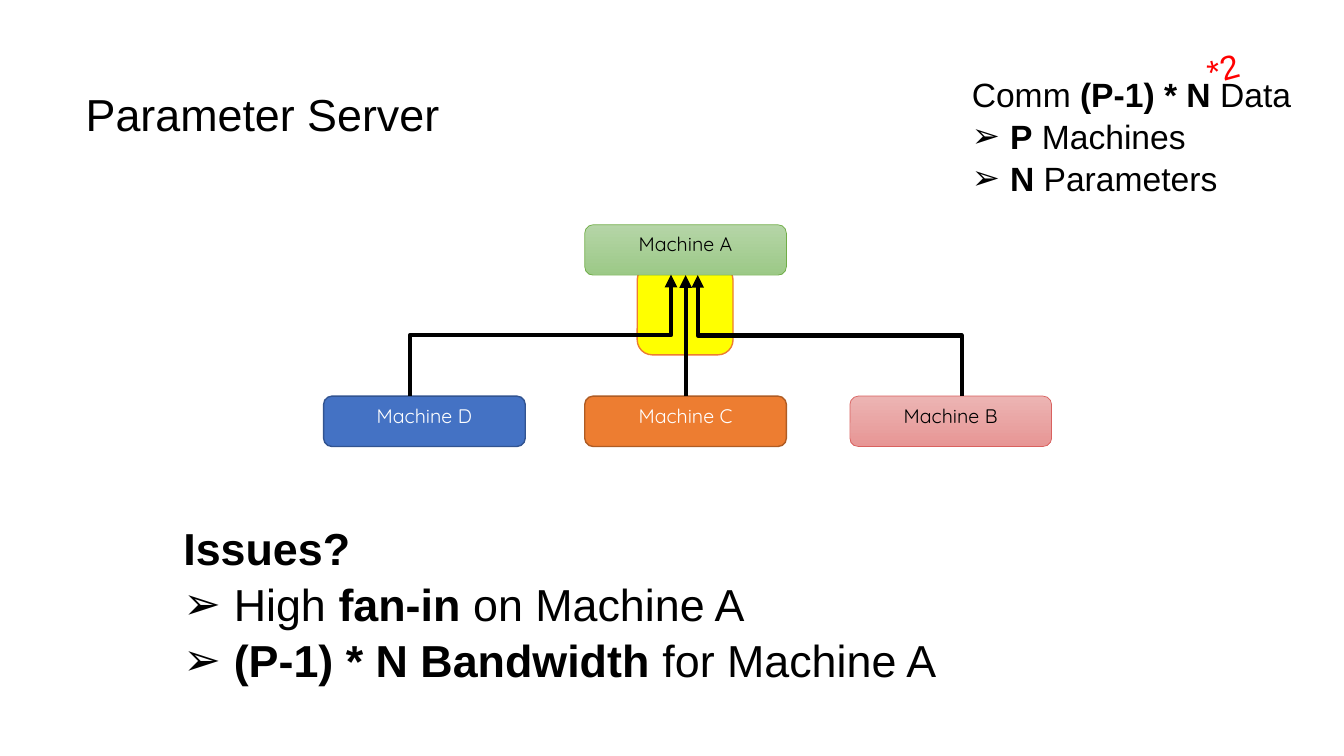
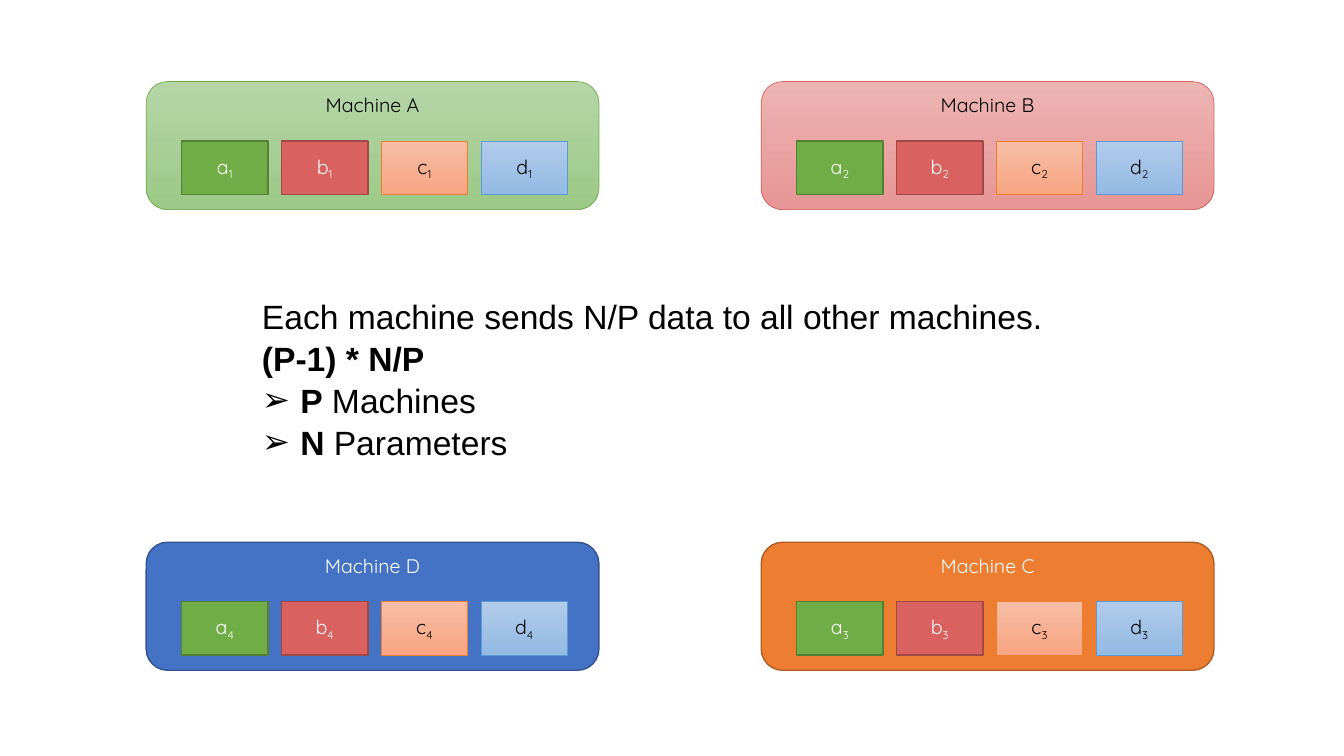
from collections import namedtuple

from lxml import etree
from pptx import Presentation
from pptx.dml.color import RGBColor
from pptx.enum.shapes import MSO_CONNECTOR, MSO_SHAPE
from pptx.enum.text import MSO_ANCHOR, MSO_AUTO_SIZE, PP_ALIGN
from pptx.oxml.ns import qn
from pptx.util import Emu, Pt

PX = 9144
SLIDE_WIDTH, SLIDE_HEIGHT = 1333, 750
TITLE_ONLY, BLANK = 5, 6
ROUNDED, RECTANGLE = MSO_SHAPE.ROUNDED_RECTANGLE, MSO_SHAPE.RECTANGLE
STRAIGHT, ELBOW = MSO_CONNECTOR.STRAIGHT, MSO_CONNECTOR.ELBOW
TOP, MIDDLE = MSO_ANCHOR.TOP, MSO_ANCHOR.MIDDLE
LEFT, CENTER = PP_ALIGN.LEFT, PP_ALIGN.CENTER
NO_AUTOFIT = MSO_AUTO_SIZE.NONE
BODY_FONT, LABEL_FONT = "Arial", "Quicksand"
LINE_SPACING = 1.04

COLORS = {
    "black": "000000", "white": "FFFFFF", "red": "FF0000", "yellow": "FFFF00",
    "green": "70AD47", "green_edge": "538035",
    "green_light": "B5D5A7", "green_soft": "9CC987",
    "rose": "D9615F", "rose_edge": "A14846",
    "rose_light": "ECB4B3", "rose_soft": "E79695",
    "blue": "4472C4", "blue_edge": "325491",
    "orange": "ED7D31", "orange_edge": "AF5C24",
    "peach_light": "F7BDA5", "peach_soft": "F8A582",
    "sky": "5B9BD5", "sky_light": "B1CBE9", "sky_soft": "93B9E4",
}

Style = namedtuple("Style", "fills edge weight ink")
MACHINES = {
    "A": Style(("green_light", "green_soft"), "green", 0.5, "black"),
    "B": Style(("rose_light", "rose_soft"), "rose", 0.5, "black"),
    "C": Style(("orange",), "orange_edge", 1, "white"),
    "D": Style(("blue",), "blue_edge", 1, "white"),
}
TILES = {
    "a": Style(("green",), "green_edge", 1, "white"),
    "b": Style(("rose",), "rose_edge", 1, "white"),
    "c": Style(("peach_light", "peach_soft"), "orange", 0.5, "black"),
    "d": Style(("sky_light", "sky_soft"), "sky", 0.5, "black"),
}
HIGHLIGHT = Style(("yellow",), "orange", 1, "black")

Line = namedtuple("Line", "spans bulleted")
LEGEND = [
    Line([("P", True), (" Machines", False)], True),
    Line([("N", True), (" Parameters", False)], True),
]


def px(*lengths):
    return [Emu(length * PX) for length in lengths]


def color(name):
    return RGBColor.from_string(COLORS[name])


def add_span(para, text, *, size, font=BODY_FONT, ink="black", bold=False, baseline=0):
    span = para.add_run()
    span.text = text
    span.font.size = Pt(size)
    span.font.name = font
    span.font.bold = bold
    span.font.color.rgb = color(ink)
    if baseline:
        span.font._element.set("baseline", str(baseline * 1000))


def add_bullet(para, indent):
    properties = para._p.get_or_add_pPr()
    properties.set("marL", str(indent * PX))
    properties.set("indent", str(-indent * PX))
    bullet_color = etree.SubElement(properties, qn("a:buClr"))
    etree.SubElement(bullet_color, qn("a:srgbClr"), val=COLORS["black"])
    etree.SubElement(properties, qn("a:buFont"), typeface=BODY_FONT)
    etree.SubElement(properties, qn("a:buChar"), char="➢")


def fill_text(box, lines, *, size, indent=0, align=LEFT, ink="black"):
    frame = box.text_frame
    frame.word_wrap = False
    frame.auto_size = NO_AUTOFIT
    frame.vertical_anchor = TOP
    for index, line in enumerate(lines):
        para = frame.add_paragraph() if index else frame.paragraphs[0]
        para.alignment = align
        para.line_spacing = LINE_SPACING
        if line.bulleted:
            add_bullet(para, indent)
        for text, bold in line.spans:
            add_span(para, text, size=size, bold=bold, ink=ink)


def add_text(page, bounds, lines, *, rotation=0, **text_format):
    box = page.shapes.add_textbox(*px(*bounds))
    box.rotation = rotation
    fill_text(box, lines, **text_format)


def set_title(page, bounds, text):
    title = page.shapes.title
    title.left, title.top, title.width, title.height = px(*bounds)
    fill_text(title, [Line([(text, False)], False)], size=32)


def add_block(page, kind, bounds, style, label="", subscript="", anchor=TOP):
    block = page.shapes.add_shape(kind, *px(*bounds))
    block.shadow.inherit = False
    if len(style.fills) == 1:
        block.fill.solid()
        block.fill.fore_color.rgb = color(style.fills[0])
    else:
        block.fill.gradient()
        block.fill.gradient_angle = 270
        for position, (stop, name) in enumerate(zip(block.fill.gradient_stops, style.fills)):
            stop.position = position
            stop.color.rgb = color(name)
    block.line.color.rgb = color(style.edge)
    block.line.width = Pt(style.weight)
    if label:
        block.text_frame.vertical_anchor = anchor
        para = block.text_frame.paragraphs[0]
        para.alignment = CENTER
        add_span(para, label, size=14, font=LABEL_FONT, ink=style.ink)
        if subscript:
            add_span(para, subscript, size=14, font=LABEL_FONT, ink=style.ink, baseline=-25)


def add_machine(page, name, bounds):
    add_block(page, ROUNDED, bounds, MACHINES[name], f"Machine {name}")


def add_upward_arrow(page, start, end):
    (x1, y1), (x2, y2) = start, end
    kind = STRAIGHT if x1 == x2 else ELBOW
    arrow = page.shapes.add_connector(kind, *px(x1, y1, x2, y2))
    if kind == ELBOW:
        width, height = y1 - y2, abs(x2 - x1)
        arrow.left, arrow.top, arrow.width, arrow.height = px(
            (x1 + x2 - width) // 2, (y1 + y2 - height) // 2, width, height)
        frame = arrow._element.spPr.find(qn("a:xfrm"))
        frame.set("rot", str(270 * 60000))
        frame.set("flipH", "0")
        frame.set("flipV", "1" if x2 < x1 else "0")
    arrow.line.color.rgb = color("black")
    arrow.line.width = Pt(3)
    etree.SubElement(arrow.line._get_or_add_ln(), qn("a:tailEnd"), type="triangle")
    etree.SubElement(arrow._element.spPr, qn("a:effectLst"))


def build_parameter_server(deck):
    page = deck.slides.add_slide(deck.slide_layouts[TITLE_ONLY])
    set_title(page, (75, 79, 374, 64), "Parameter Server")
    add_block(page, ROUNDED, (632, 263, 95, 89), HIGHLIGHT)

    width, height, server_top, worker_top = 200, 50, 223, 393
    add_machine(page, "A", (580, server_top, width, height))
    for name, left in (("B", 843), ("D", 321), ("C", 580)):
        add_machine(page, name, (left, worker_top, width, height))
    for start, end in ((407, 666), (954, 692), (680, 680)):
        add_upward_arrow(page, (start, worker_top), (end, server_top + height))

    cost = Line([("Comm", False), (" (P-1) * N", True), (" Data", False)], False)
    add_text(page, (954, 67, 340, 131), [cost, *LEGEND], size=24, indent=38)
    add_text(page, (1186, 41, 53, 50), [Line([("*2", False)], False)],
             size=24, align=CENTER, ink="red", rotation=344.7)
    issues = [
        Line([("Issues?", True)], False),
        Line([("High ", False), ("fan-in ", True), ("on Machine A", False)], True),
        Line([("(P-1) * N Bandwidth", True), (" for Machine A", False)], True),
    ]
    add_text(page, (172, 510, 815, 226), issues, size=32, indent=50)


def build_all_to_all(deck):
    page = deck.slides.add_slide(deck.slide_layouts[BLANK])
    tile_width, tile_gap = 86, 13
    corners = (("A", 145, 81), ("B", 755, 81), ("C", 755, 538), ("D", 145, 538))
    for number, (name, left, top) in enumerate(corners, 1):
        add_machine(page, name, (left, top, 449, 127))
        for column, (letter, style) in enumerate(TILES.items()):
            tile_left = left + 35 + column * (tile_width + tile_gap)
            add_block(page, RECTANGLE, (tile_left, top + 59, tile_width, 53),
                      style, letter, str(number), MIDDLE)

    summary = [
        Line([("Each machine sends N/P data to all other machines.", False)], False),
        Line([("(P-1) * N/P", True)], False),
    ]
    add_text(page, (250, 287, 803, 172), summary + LEGEND, size=24, indent=38)


def main():
    deck = Presentation()
    deck.slide_width, deck.slide_height = px(SLIDE_WIDTH, SLIDE_HEIGHT)
    build_parameter_server(deck)
    build_all_to_all(deck)
    deck.save("out.pptx")


if __name__ == "__main__":
    main()
